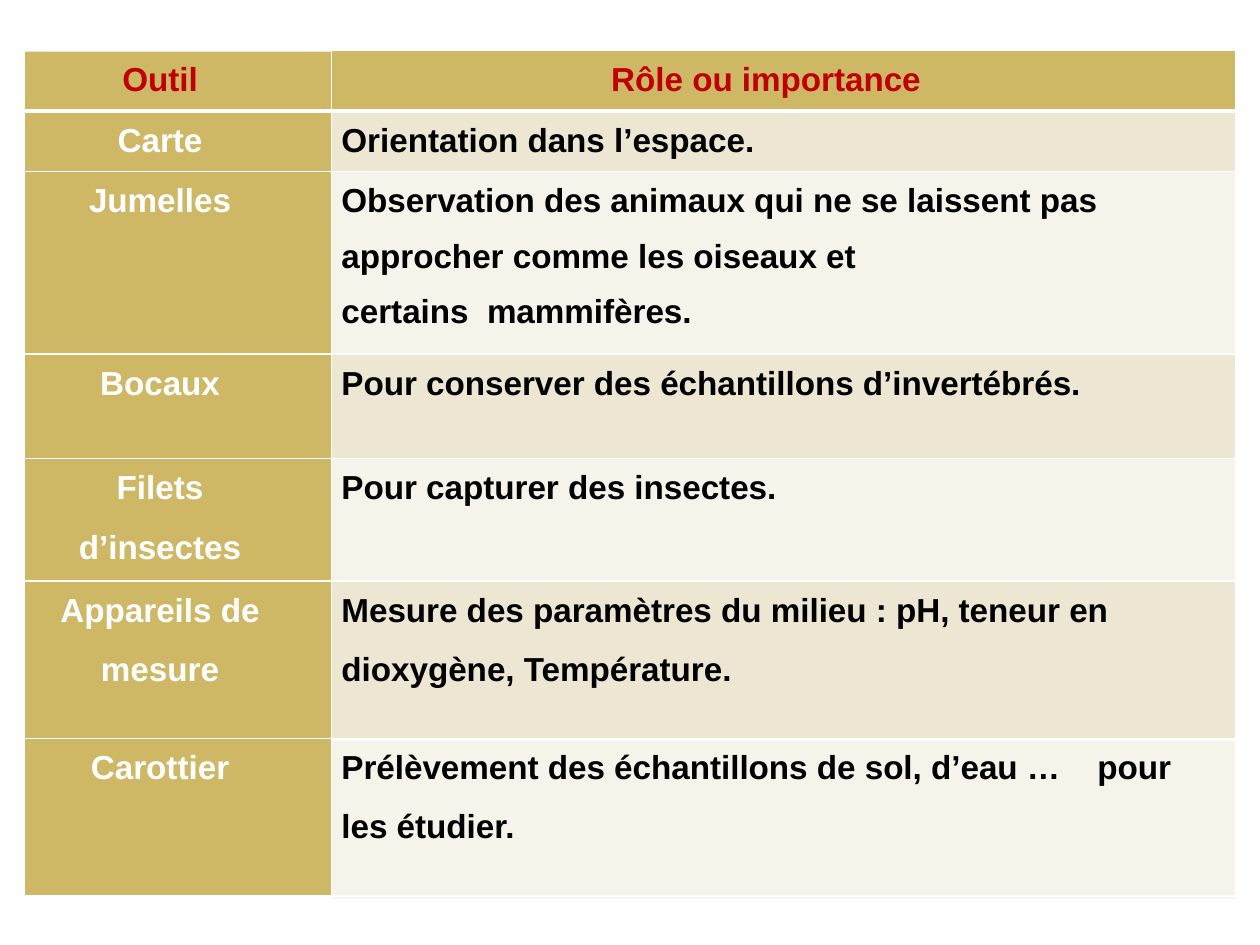
from dataclasses import dataclass

from lxml.etree import SubElement
from pptx import Presentation
from pptx.dml.color import RGBColor
from pptx.enum.shapes import MSO_SHAPE as Shape
from pptx.enum.text import PP_ALIGN as Align
from pptx.oxml.ns import qn
from pptx.util import Inches, Pt

GOLD, SAND, CREAM = "CEB866", "ECE6D2", "F6F3EA"
WHITE, BLACK, RED = "FFFFFF", "000000", "C00000"
LEFT, TOP = 0.19, 0.4
COLUMNS = (2.44, 7.18)
CENTRED_RIGHT_MARGIN = 0.28


@dataclass
class Line:
    text: str
    before: float = 7.3
    spacing: float | None = None
    right: float = 0
    tab: float | None = None


@dataclass
class Row:
    height: float
    tool: list[Line]
    role: list[Line]


ROWS = [
    Row(0.48, [Line("Outil")], [Line("Rôle ou importance")]),
    Row(0.48, [Line("Carte")], [Line("Orientation dans l’espace.")]),
    Row(1.45, [Line("Jumelles")], [
        Line("Observation des animaux qui ne se laissent pas"),
        Line("approcher comme les oiseaux et certains  mammifères.",
             before=0, spacing=1.5, right=2.35)]),
    Row(0.83, [Line("Bocaux")],
        [Line("Pour conserver des échantillons d’invertébrés.")]),
    Row(0.97, [Line("Filets"), Line("d’insectes", 12.7)],
        [Line("Pour capturer des insectes.")]),
    Row(1.25, [Line("Appareils de", 7.4), Line("mesure", 12.6)], [
        Line("Mesure des paramètres du milieu : pH, teneur en", 7.4),
        Line("dioxygène, Température.", 12.6)]),
    Row(1.25, [Line("Carottier", 7.4)], [
        Line("Prélèvement des échantillons de sol, d’eau …\tpour", 7.4, tab=6.57),
        Line("les étudier.", 12.6)]),
]


def colour(value: str) -> RGBColor:
    return RGBColor.from_string(value)


def add_backing(slide, left: float, top: float, width: float, height: float, fill: str) -> None:
    shape = slide.shapes.add_shape(
        Shape.RECTANGLE, Inches(left), Inches(top), Inches(width), Inches(height))
    shape.shadow.inherit = False
    shape.fill.solid()
    shape.fill.fore_color.rgb = colour(fill)
    shape.line.fill.background()


def set_borders(cell, top: float, bottom: float) -> None:
    properties = cell._tc.get_or_add_tcPr()
    for side, width in (("L", 1), ("R", 1), ("T", top), ("B", bottom)):
        line = SubElement(properties, qn(f"a:ln{side}"), w=str(Pt(width)))
        solid = SubElement(line, qn("a:solidFill"))
        SubElement(solid, qn("a:srgbClr"), val=WHITE)


def write_lines(cell, lines: list[Line], text_colour: str, centred: bool) -> None:
    cell.margin_left = cell.margin_right = cell.margin_bottom = 0
    cell.margin_top = Inches(0.09)
    frame = cell.text_frame
    frame.text = "\n".join(line.text for line in lines)
    for paragraph, line in zip(frame.paragraphs, lines):
        paragraph.alignment = Align.CENTER if centred else Align.LEFT
        paragraph.space_before = Pt(line.before)
        if line.spacing:
            paragraph.line_spacing = line.spacing
        # Margins and tab stops
        properties = paragraph._p.get_or_add_pPr()
        properties.set("marL", str(Inches(0 if centred else 0.08)))
        properties.set("indent", "0")
        right = CENTRED_RIGHT_MARGIN if centred else line.right
        properties.set("marR", str(Inches(right)))
        if line.tab:
            tabs = SubElement(properties, qn("a:tabLst"))
            SubElement(tabs, qn("a:tab"), pos=str(Inches(line.tab)), algn="l")
        for run in paragraph.runs:
            run.font.name = "Arial"
            run.font.size = Pt(19)
            run.font.bold = True
            run.font.color.rgb = colour(text_colour)


def set_fill(cell, fill: str | None) -> None:
    if fill is None:
        cell.fill.background()
    else:
        cell.fill.solid()
        cell.fill.fore_color.rgb = colour(fill)


def add_tools_table(slide) -> None:
    frame = slide.shapes.add_table(
        len(ROWS), len(COLUMNS), Inches(LEFT), Inches(TOP),
        Inches(sum(COLUMNS)), Inches(sum(row.height for row in ROWS)))
    table = frame.table
    table.first_row = table.horz_banding = False
    for column, width in zip(table.columns, COLUMNS):
        column.width = Inches(width)
    last = len(ROWS) - 1
    for index, row in enumerate(ROWS):
        table.rows[index].height = Inches(row.height)
        header = index == 0
        band = GOLD if header else SAND if index % 2 else CREAM
        # The first and last cells show the backing shapes
        fills = (None if header else GOLD, None if index == last else band)
        colours = (RED, RED) if header else (WHITE, BLACK)
        for position, lines in enumerate((row.tool, row.role)):
            cell = table.cell(index, position)
            write_lines(cell, lines, colours[position], header or position == 0)
            set_borders(cell, 3 if index == 1 else 1, 3 if header else 1)
            set_fill(cell, fills[position])


def main() -> None:
    presentation = Presentation()
    presentation.slide_width, presentation.slide_height = Inches(10), Inches(7.5)
    slide = presentation.slides.add_slide(presentation.slide_layouts[6])

    # Backing of the first and last cells
    add_backing(slide, 0.2, 0.41, COLUMNS[0], ROWS[0].height, GOLD)
    add_backing(slide, LEFT + COLUMNS[0], 5.88, COLUMNS[1], ROWS[-1].height, CREAM)

    # Tools and their roles
    add_tools_table(slide)
    presentation.save("out.pptx")


if __name__ == "__main__":
    main()
